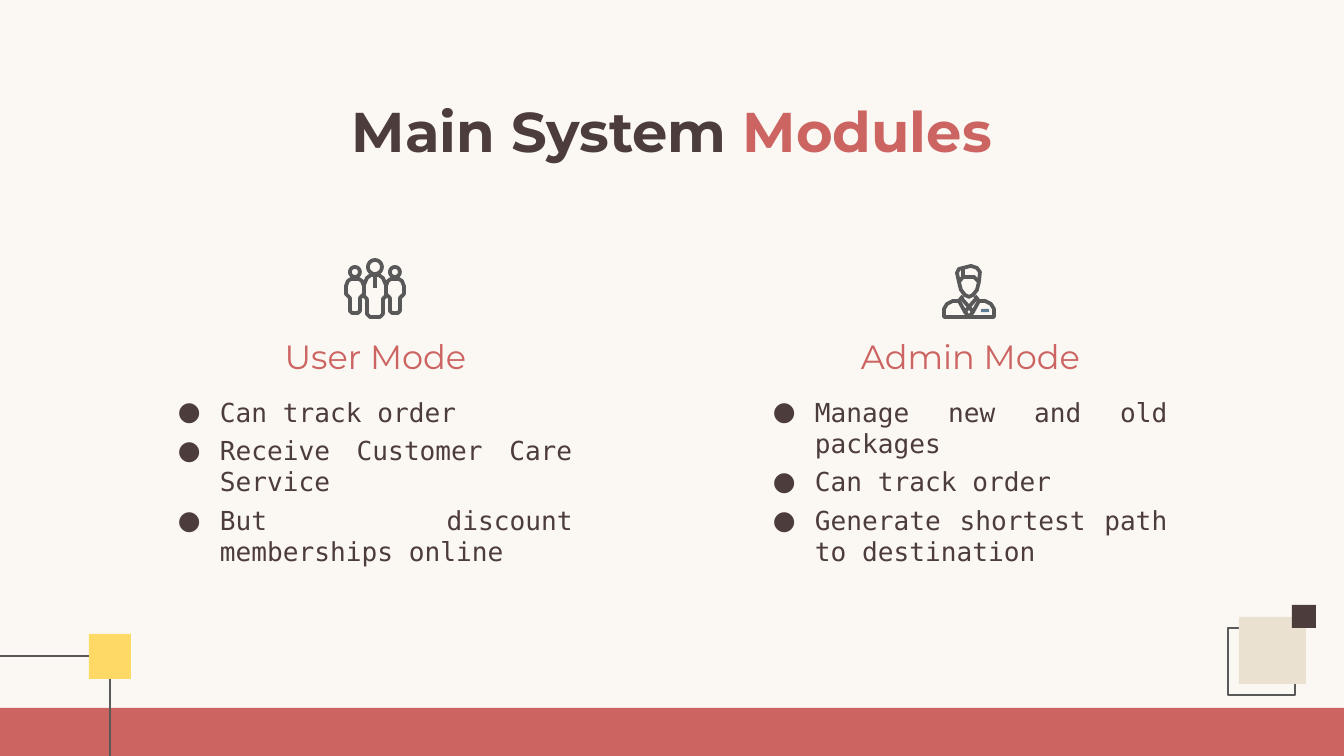
from dataclasses import dataclass
from math import cos, pi, sin

from lxml import etree
from pptx import Presentation
from pptx import util as u
from pptx.dml.color import RGBColor
from pptx.enum import shapes, text
from pptx.oxml.ns import qn


@dataclass(frozen=True)
class Theme:
    paper: str = "FBF8F4"
    red: str = "CC6462"
    brown: str = "4D3C3C"
    gray: str = "595959"
    yellow: str = "FFD966"
    beige: str = "EBE1D0"
    blue: str = "5F7D95"
    heading_font: str = "Montserrat"
    body_font: str = "DejaVu Sans Mono"
    title_size: int = 30
    subtitle_size: int = 18
    body_size: int = 14
    bullet_gap: float = 3.75
    thin: float = 0.75
    thick: float = 2


THEME = Theme()
SCALE = 914400 / 134.4
WIDTH, HEIGHT = 1344, 756
INSET = 13
INDENT = 42

TITLE = [("Main System ", THEME.brown), ("Modules", THEME.red)]
MODULES = [
    ("User Mode", 375, ["Can track order", "Receive Customer Care Service",
                        "But discount memberships online"]),
    ("Admin Mode", 969, ["Manage new and old packages", "Can track order",
                         "Generate shortest path to destination"]),
]
COLUMN_LEFT, COLUMN_WIDTH, COLUMN_STEP = 165, 421, 595

BLOCKS = [
    ((0, 708, WIDTH, 48), THEME.red, None),
    ((89, 634, 42, 45), THEME.yellow, None),
    ((1228, 628, 67, 67), None, THEME.gray),
    ((1239, 617, 67, 67), THEME.beige, None),
    ((1292, 605, 24, 23), THEME.brown, None),
]
RULES = [((0, 656), (89, 656)), ((110, 679), (110, HEIGHT))]

LARGE_BODY = [(-4, 275), (-8, 278), (-11, 285), (-11, 296), (-8, 299), (-8, 314), (-5, 317)]
SMALL_BODY = [(-4, 279), (-7, 281), (-9, 286), (-9, 294), (-5, 298), (-5, 311), (-3, 313)]
PEOPLE = [(-20, 272, 5, SMALL_BODY), (20, 272, 5, SMALL_BODY), (0, 267, 7, LARGE_BODY)]
TIE = [(0, 275), (0, 288)]

HAIR = [(-10, 282), (-12, 273), (-10, 269), (-6, 268), (2, 266), (8, 268),
        (11, 272), (10, 282), (5, 277), (-6, 277)]
PARTING = [(-6, 277), (-6, 268)]
FACE = [(-10, 282), (-8, 290), (-4, 295), (0, 297)]
SHOULDERS = [(-6, 296), (-10, 301), (-16, 301), (-22, 304), (-25, 309), (-25, 317), (0, 317)]
COLLAR = [(-10, 301), (-4, 312), (0, 307)]
NECKLINE = [(-7, 299), (0, 307)]
SHIRT = [(-4, 312), (0, 317)]
BADGE = (12, 309, 8, 3)


def px(value):
    return u.Emu(round(value * SCALE))


def color(value):
    return RGBColor.from_string(value)


def paint(shape, fill=None, line=None, width=THEME.thin):
    shape.shadow.inherit = False
    if fill:
        shape.fill.solid()
        shape.fill.fore_color.rgb = color(fill)
    else:
        shape.fill.background()
    if line:
        shape.line.color.rgb = color(line)
        shape.line.width = u.Pt(width)
    else:
        shape.line.fill.background()


def add_block(slide, box, fill=None, line=None, kind=shapes.MSO_SHAPE.RECTANGLE):
    paint(slide.shapes.add_shape(kind, *map(px, box)), fill, line)


def add_rule(slide, start, end):
    rule = slide.shapes.add_connector(
        shapes.MSO_CONNECTOR.STRAIGHT, *map(px, start + end))
    rule.line.color.rgb = color(THEME.gray)
    rule.line.width = u.Pt(THEME.thin)
    etree.SubElement(rule._element.spPr, qn("a:effectLst"))


def add_icon(slide, center, contours):
    builder = None
    for points, close in contours:
        outline = [(px(center + x), px(y)) for x, y in points]
        if builder is None:
            builder = slide.shapes.build_freeform(*outline[0], scale=1.0)
        else:
            builder.move_to(*outline[0])
        builder.add_line_segments(outline[1:], close=close)
    paint(builder.convert_to_shape(), line=THEME.gray, width=THEME.thick)


def mirrored(points):
    return points + [(-x, y) for x, y in reversed(points)]


def circle(x, y, radius, steps=24):
    angles = [2 * pi * step / steps for step in range(steps)]
    return [(x + radius * cos(angle), y + radius * sin(angle)) for angle in angles]


def draw_people(slide, center):
    contours = [(TIE, False)]
    for offset, head_y, radius, body in PEOPLE:
        contours.append((circle(offset, head_y, radius), True))
        contours.append(([(offset + x, y) for x, y in mirrored(body)], True))
    add_icon(slide, center, contours)


def draw_clerk(slide, center):
    halves = (FACE, SHOULDERS, COLLAR, NECKLINE, SHIRT)
    contours = [(HAIR, True), (PARTING, False)]
    contours += [(mirrored(half), False) for half in halves]
    add_icon(slide, center, contours)
    left, *rest = BADGE
    add_block(slide, (center + left, *rest), THEME.blue,
              kind=shapes.MSO_SHAPE.ROUNDED_RECTANGLE)


def add_text_frame(slide, box, anchor):
    frame = slide.shapes.add_textbox(*map(px, box)).text_frame
    frame.word_wrap = True
    frame.vertical_anchor = anchor
    frame.margin_left = frame.margin_right = px(INSET)
    frame.margin_top = frame.margin_bottom = px(INSET)
    return frame


def style(font, name, size, tint, bold=False):
    font.name, font.size, font.bold = name, u.Pt(size), bold
    font.color.rgb = color(tint)


def add_heading(slide, box, parts, size, bold=False):
    paragraph = add_text_frame(slide, box, text.MSO_ANCHOR.MIDDLE).paragraphs[0]
    paragraph.alignment = text.PP_ALIGN.CENTER
    for words, tint in parts:
        run = paragraph.add_run()
        run.text = words
        style(run.font, THEME.heading_font, size, tint, bold)


def add_bullets(slide, box, items):
    frame = add_text_frame(slide, box, text.MSO_ANCHOR.TOP)
    frame.text = "\n".join(items)
    for index, paragraph in enumerate(frame.paragraphs):
        properties = paragraph._p.get_or_add_pPr()
        properties.set("marL", str(px(INDENT)))
        properties.set("indent", str(-px(INDENT)))
        tint = etree.SubElement(properties, qn("a:buClr"))
        etree.SubElement(tint, qn("a:srgbClr"), val=THEME.brown)
        etree.SubElement(properties, qn("a:buFont"), typeface=THEME.heading_font)
        etree.SubElement(properties, qn("a:buChar"), char="●")
        paragraph.alignment = text.PP_ALIGN.JUSTIFY
        if index:
            paragraph.space_before = u.Pt(THEME.bullet_gap)
        style(paragraph.runs[0].font, THEME.body_font, THEME.body_size, THEME.brown)


def main():
    presentation = Presentation()
    presentation.slide_width, presentation.slide_height = px(WIDTH), px(HEIGHT)
    slide = presentation.slides.add_slide(presentation.slide_layouts[6])
    slide.background.fill.solid()
    slide.background.fill.fore_color.rgb = color(THEME.paper)

    for box, fill, line in BLOCKS:
        add_block(slide, box, fill, line)
    for start, end in RULES:
        add_rule(slide, start, end)

    add_heading(slide, (46, 88, 1252, 85), TITLE, THEME.title_size, bold=True)
    for index, ((name, center, items), draw_icon) in enumerate(
            zip(MODULES, (draw_people, draw_clerk))):
        left = COLUMN_LEFT + index * COLUMN_STEP
        draw_icon(slide, center)
        add_heading(slide, (left, 328, COLUMN_WIDTH, 57),
                    [(name, THEME.red)], THEME.subtitle_size)
        add_bullets(slide, (left, 383, COLUMN_WIDTH, 177), items)

    presentation.save("out.pptx")


if __name__ == "__main__":
    main()
